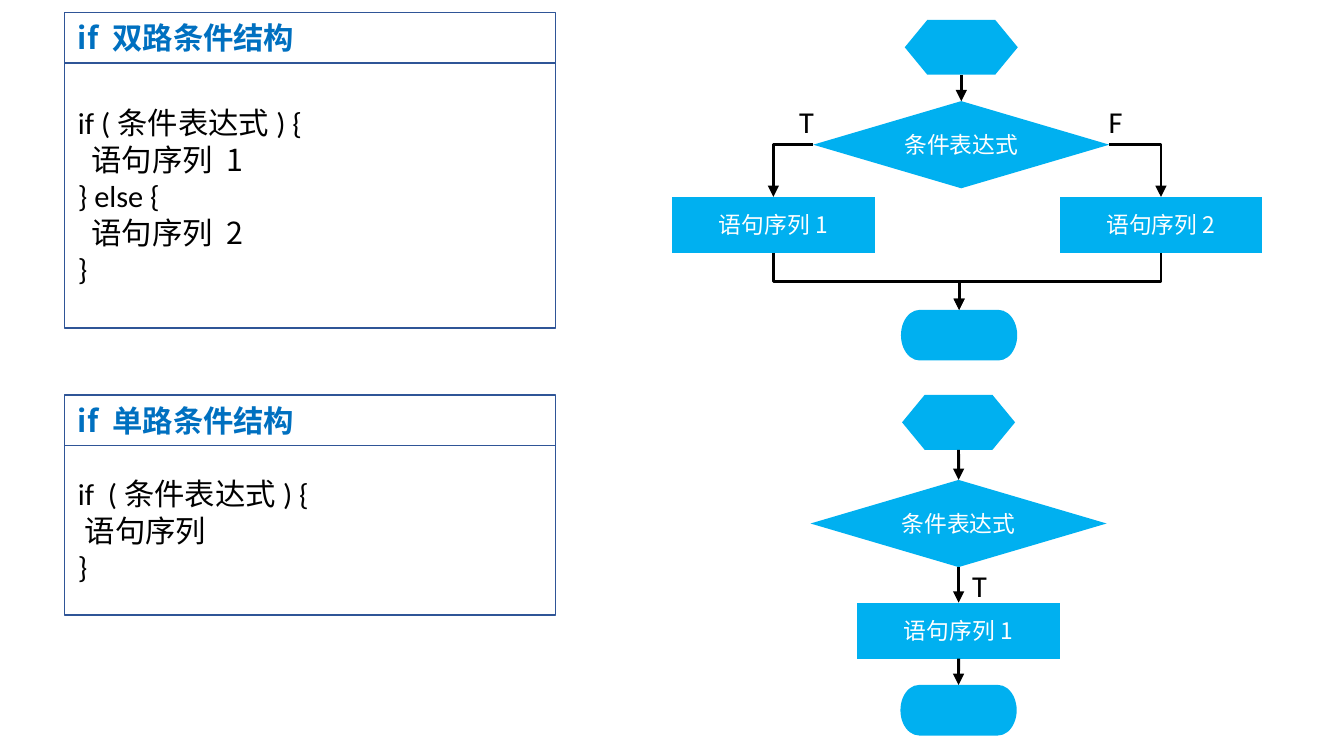
"""Draw the two forms of the if statement, each as code beside its flow chart."""
import dataclasses
import pptx
import pptx.util
import pptx.dml.color
import pptx.enum.shapes
import pptx.enum.text
import pptx.oxml
import pptx.oxml.ns

Cm = pptx.util.Cm
Kind = pptx.enum.shapes.MSO_SHAPE
Wire = pptx.enum.shapes.MSO_CONNECTOR
Align = pptx.enum.text.PP_ALIGN
qn = pptx.oxml.ns.qn


@dataclasses.dataclass
class Theme:
    fill: str = "00B0F0"
    frame: str = "2F5597"
    head: str = "0070C0"
    ink: str = "000000"
    white: str = "FFFFFF"
    latin: str = "Calibri"
    han: str = "Noto Sans CJK SC"
    large: int = 16
    small: int = 12
    thin: float = 0.75
    thick: float = 1.5


def tint(code):
    return pptx.dml.color.RGBColor.from_string(code)


class Board:
    def __init__(self, slide, theme):
        self.items = slide.shapes
        self.theme = theme

    def style(self, run, face, size, color, bold=False):
        font = run.font
        font.name, font.size, font.bold = face, pptx.util.Pt(size), bold
        font.color.rgb = tint(color)
        east = pptx.oxml.parse_xml(f'<a:ea {pptx.oxml.ns.nsdecls("a")}/>')
        east.set("typeface", face)
        font._element.find(qn("a:latin")).addnext(east)

    def frame(self, left, top, width, high):
        box = self.items.add_shape(Kind.RECTANGLE, Cm(left), Cm(top), Cm(width), Cm(high))
        box.shadow.inherit = False
        box.fill.background()
        box.line.color.rgb = tint(self.theme.frame)
        box.line.width = pptx.util.Pt(self.theme.thin)
        text = box.text_frame
        text.word_wrap = True
        text.vertical_anchor = pptx.enum.text.MSO_ANCHOR.MIDDLE
        return text

    def panel(self, top, high, title, lines):
        look, left, width, bar = self.theme, 1.2, 9.12, 0.94
        code = self.frame(left, top + bar, width, high)
        for i, line in enumerate(lines):
            para = code.paragraphs[0] if i == 0 else code.add_paragraph()
            para.alignment = Align.LEFT
            for j, part in enumerate(line.split("|")):
                run = para.add_run()
                run.text = part
                self.style(run, look.han if j % 2 else look.latin, look.large, look.ink)
        head = self.frame(left, top, width, bar)
        head.text = title
        para = head.paragraphs[0]
        para.alignment = Align.LEFT
        self.style(para.runs[0], look.han, look.large, look.head, True)

    def node(self, kind, mid, top, text=""):
        sizes = {
            Kind.FLOWCHART_PREPARATION: (2.1, 1.02),
            Kind.FLOWCHART_DECISION: (5.5, 1.62),
            Kind.FLOWCHART_PROCESS: (3.76, 1.04),
            Kind.FLOWCHART_TERMINATOR: (2.16, 0.94),
        }
        width, high = sizes[kind]
        box = self.items.add_shape(kind, Cm(mid - width / 2), Cm(top), Cm(width), Cm(high))
        box.shadow.inherit = False
        box.fill.solid()
        box.fill.fore_color.rgb = tint(self.theme.fill)
        box.line.fill.background()
        if text:
            box.text_frame.text = text
            box.text_frame.word_wrap = True
            para = box.text_frame.paragraphs[0]
            para.alignment = Align.CENTER
            self.style(para.runs[0], self.theme.han, self.theme.small, self.theme.white)
        return box

    def label(self, left, top, text):
        box = self.items.add_textbox(Cm(left), Cm(top), Cm(0.79), Cm(0.94))
        box.text_frame.word_wrap = False
        box.text_frame.text = text
        run = box.text_frame.paragraphs[0].runs[0]
        self.style(run, self.theme.latin, self.theme.large, self.theme.ink)

    def arrow(self, kind, *ends):
        wire = self.items.add_connector(kind, *ends)
        wire.line.color.rgb = tint(self.theme.ink)
        wire.line.width = pptx.util.Pt(self.theme.thick)
        props = wire._element.spPr
        tail = props.find(qn("a:ln")).makeelement(qn("a:tailEnd"), {"type": "triangle"})
        props.find(qn("a:ln")).append(tail)
        props.append(props.makeelement(qn("a:effectLst"), {}))
        return wire

    def link(self, start, end, site=2):
        wire = self.arrow(Wire.STRAIGHT if site == 2 else Wire.ELBOW, 0, 0, 0, 0)
        wire.begin_connect(start, site)
        wire.end_connect(end, 0)
        if site != 2:
            wire._element.spPr.find(qn("a:prstGeom")).set("prst", "bentConnector2")

    def merge(self, start, end):
        x, y = start.left + start.width // 2, start.top + start.height
        far, low = end.left + end.width // 2, end.top
        midx, midy = (x + far) // 2, (y + low) // 2
        dx, dy = (far - x) // 2, (low - y) // 2
        wire = self.arrow(Wire.ELBOW, midx - dy, midy + dx, midx + dy, midy - dx)
        wire._element.spPr.find(qn("a:xfrm")).set("rot", str(90 * 60000))


deck = pptx.Presentation()
deck.slide_width, deck.slide_height = Cm(24.97), Cm(14.05)
board = Board(deck.slides.add_slide(deck.slide_layouts[6]), Theme())

board.panel(0.23, 4.93, "if 双路条件结构", [
    "if (|条件表达式|) {", "  |语句序列 1", "} else {", "  |语句序列 2", "}"])
board.panel(7.34, 3.15, "if 单路条件结构", [
    "if  (|条件表达式|) {", " |语句序列", "}"])

mid = 17.86
start = board.node(Kind.FLOWCHART_PREPARATION, mid, 0.37)
test = board.node(Kind.FLOWCHART_DECISION, mid, 1.88, "条件表达式")
yes = board.node(Kind.FLOWCHART_PROCESS, 14.37, 3.66, "语句序列1")
no = board.node(Kind.FLOWCHART_PROCESS, 21.57, 3.66, "语句序列2")
end = board.node(Kind.FLOWCHART_TERMINATOR, 17.82, 5.76)
board.link(start, test)
for step, site in ((yes, 1), (no, 3)):
    board.link(test, step, site)
    board.merge(step, end)
board.label(14.6, 1.8, "T")
board.label(20.35, 1.8, "F")

mid = 17.81
chain = [
    board.node(Kind.FLOWCHART_PREPARATION, mid, 7.34),
    board.node(Kind.FLOWCHART_DECISION, mid, 8.92, "条件表达式"),
    board.node(Kind.FLOWCHART_PROCESS, mid, 11.2, "语句序列1"),
    board.node(Kind.FLOWCHART_TERMINATOR, mid, 12.73),
]
for above, below in zip(chain, chain[1:]):
    board.link(above, below)
board.label(mid, 10.42, "T")

deck.save("out.pptx")
